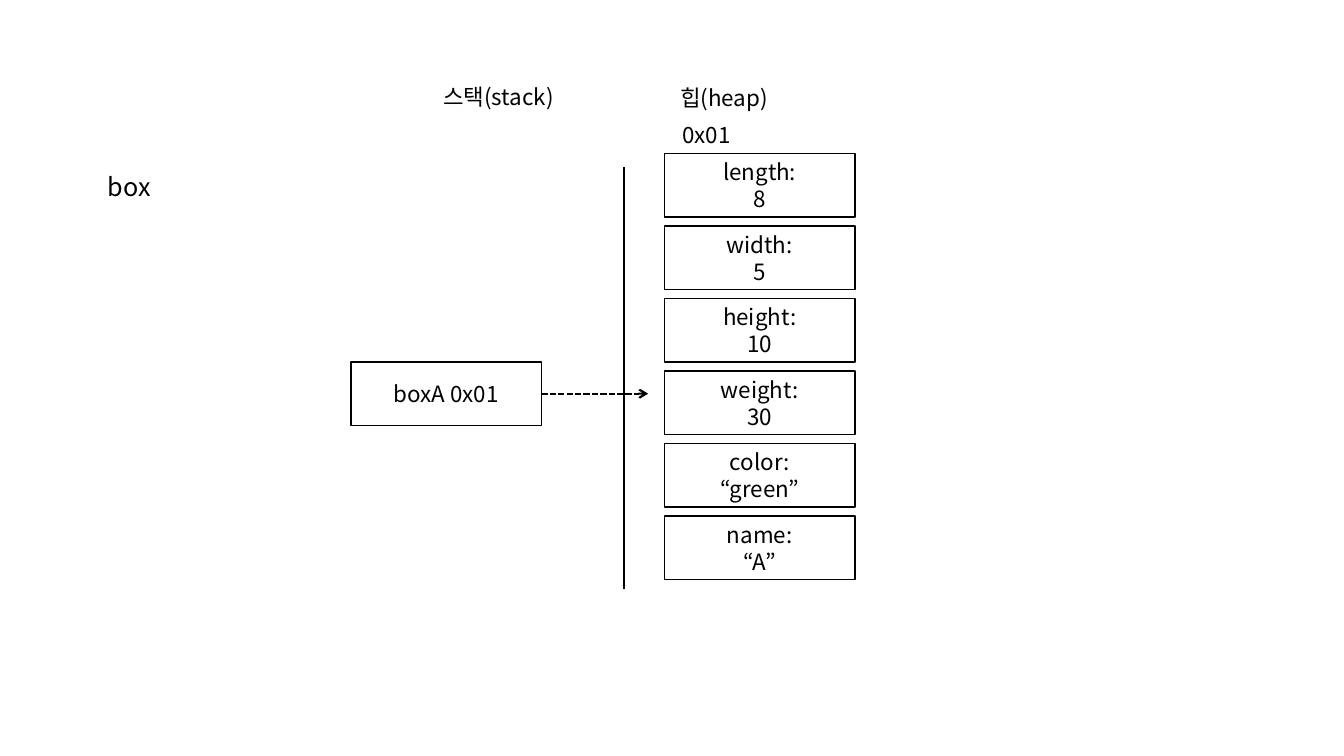
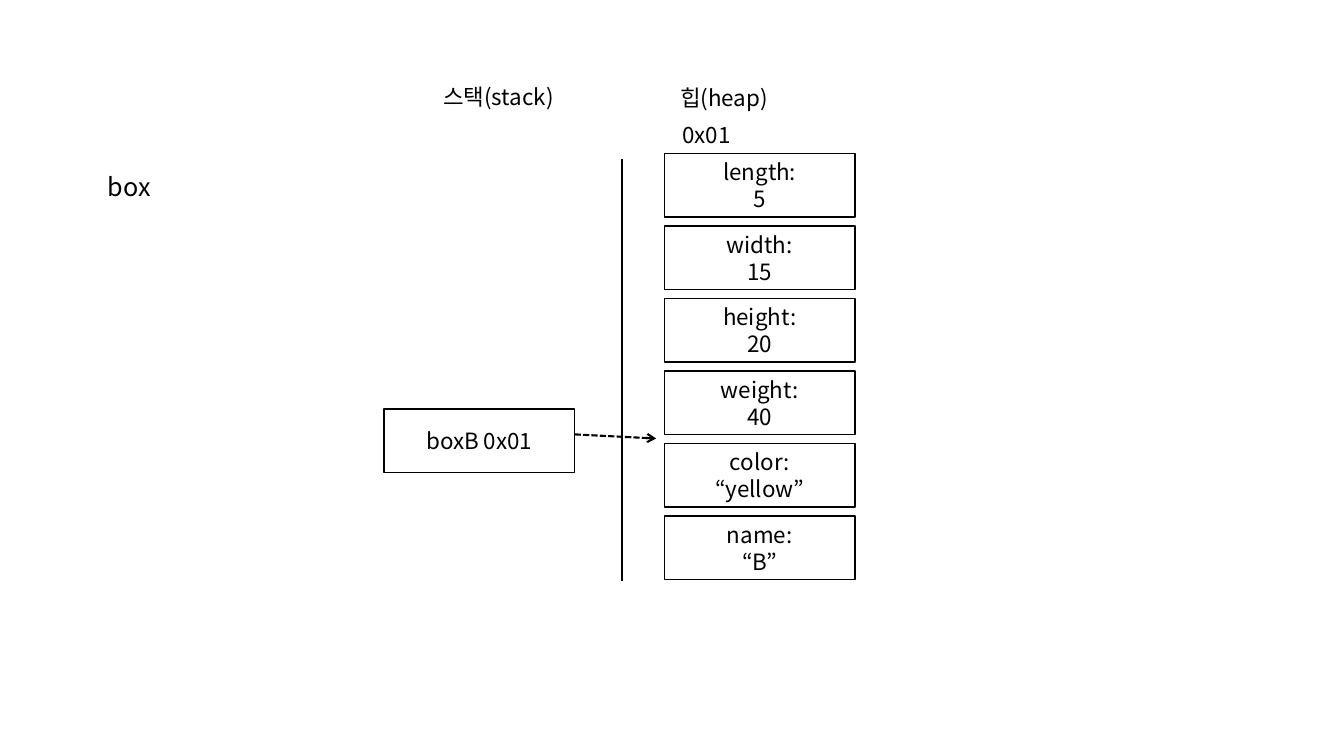
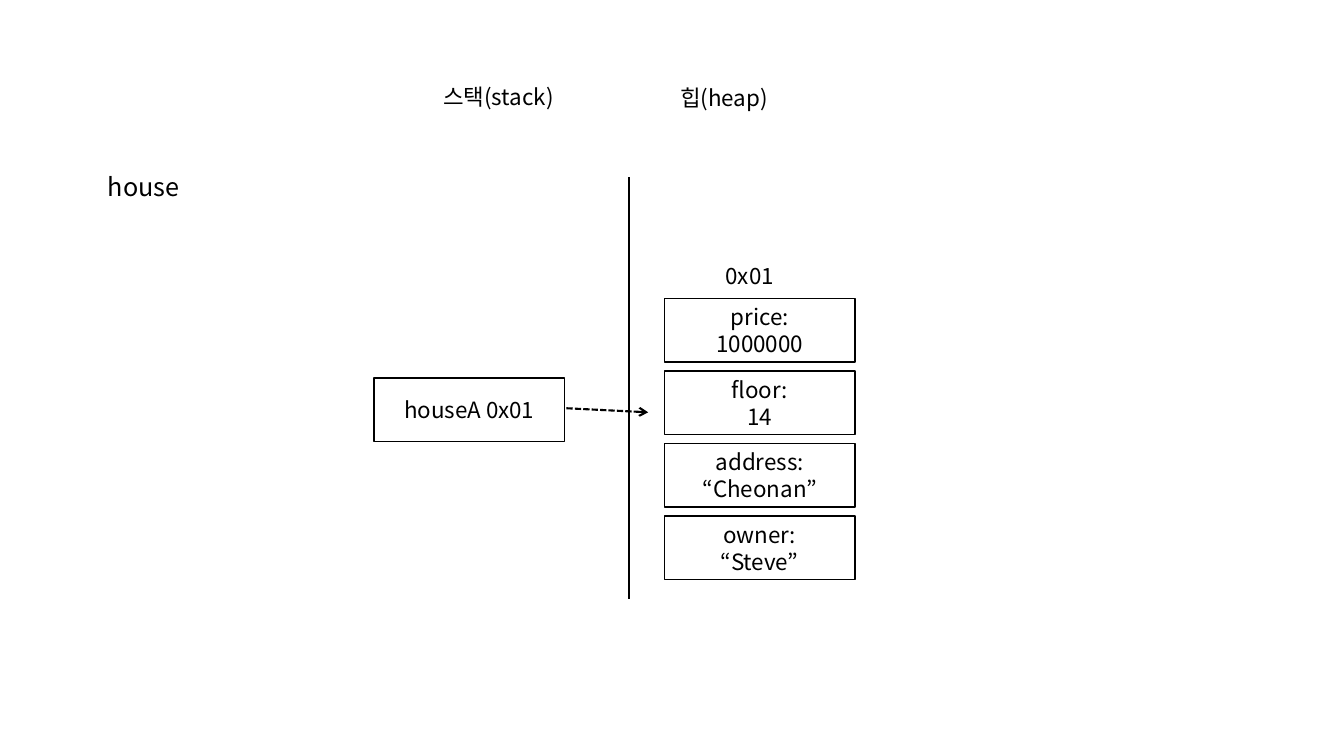
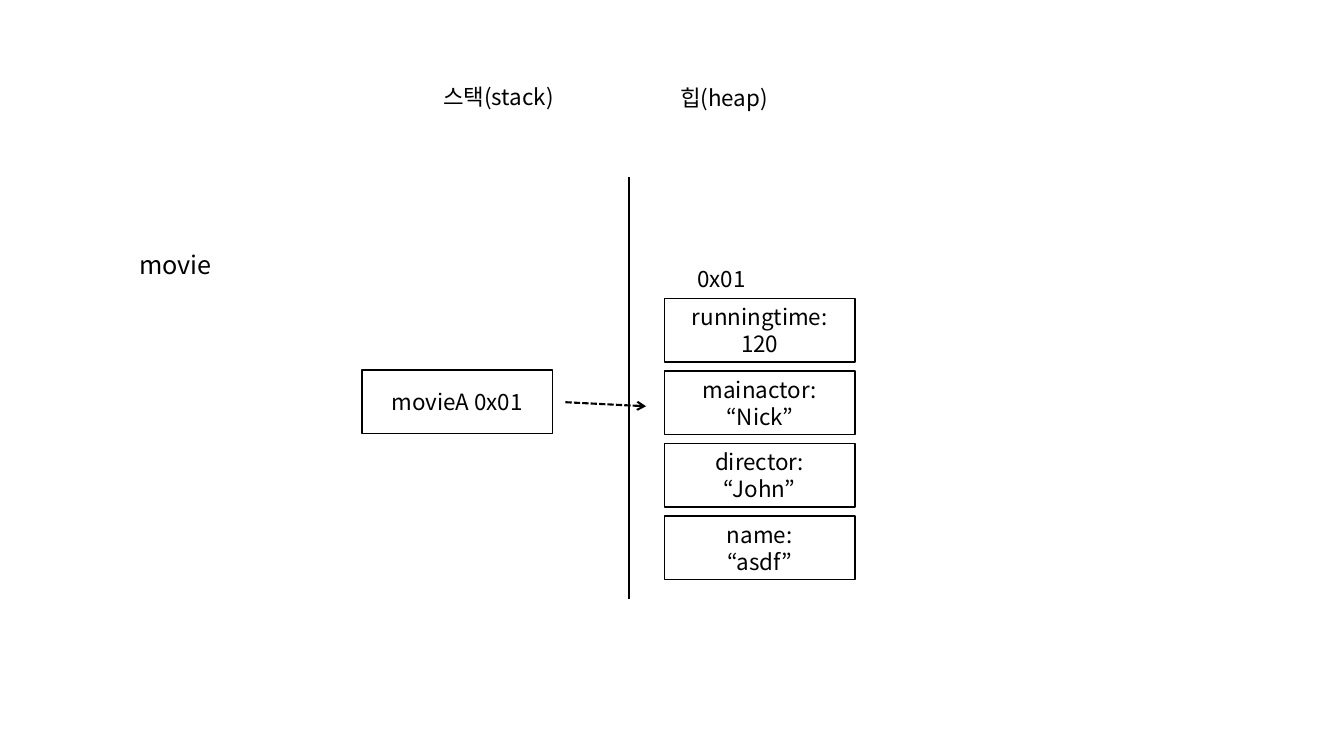
from pptx import Presentation
from pptx.dml.color import RGBColor
from pptx.enum.dml import MSO_LINE as Dash
from pptx.enum.shapes import MSO_CONNECTOR as Link, MSO_SHAPE as Kind
from pptx.enum.text import MSO_ANCHOR as Anchor, MSO_AUTO_SIZE as Fit, PP_ALIGN as Align
from pptx.oxml.ns import qn
from pptx.util import Pt
from lxml.etree import SubElement

FONT = "Noto Sans CJK KR"
INK, PAPER = "000000", "FFFFFF"
CELL = 136.1, 45.4
LEFT, LAST, PITCH = 474.6, 368.6, 51.8
WALL = 301
LABEL = 153.4, 26.6
NAME = 104.4, 28.8
HEADS = [("스택(stack)", (309.6, 56.2)), ("힙(heap)", (478.8, 56.9))]

SLIDES = [
    dict(name="box", spot=(69.8, 118.8), wall=(445.7, 119.5), addr=(480.2, 82.8),
         ref="boxA 0x01", at=(250.6, 258.5), start=None, end=(463, 281.2),
         rows=[("length", "8"), ("width", "5"), ("height", "10"),
               ("weight", "30"), ("color", "“green”"), ("name", "“A”")]),
    dict(name="box", spot=(69.8, 118.8), wall=(444.2, 113.8), addr=(480.2, 82.8),
         ref="boxB 0x01", at=(274.3, 292.3), start=(410.4, 310.3), end=(468.7, 313.2),
         rows=[("length", "5"), ("width", "15"), ("height", "20"),
               ("weight", "40"), ("color", "“yellow”"), ("name", "“B”")]),
    dict(name="house", spot=(69.8, 118.8), wall=(449.3, 126.7), addr=(511.2, 183.6),
         ref="houseA 0x01", at=(267.1, 270), start=(404.6, 291.6), end=(463, 294.5),
         rows=[("price", "1000000"), ("floor", "14"),
               ("address", "“Cheonan”"), ("owner", "“Steve”")]),
    dict(name="movie", spot=(92.2, 174.2), wall=(449.3, 126.7), addr=(491, 185.8),
         ref="movieA 0x01", at=(258.5, 264.2), start=(403.9, 287.3), end=(461.5, 290.2),
         rows=[("runningtime", "120"), ("mainactor", "“Nick”"),
               ("director", "“John”"), ("name", "“asdf”")]),
]


def color(code):
    return RGBColor.from_string(code)


def write(shape, text, size=16, align=Align.LEFT):
    frame = shape.text_frame
    frame.text = text
    frame.word_wrap = True
    for para in frame.paragraphs:
        para.alignment = align
        font = para.font
        font.name, font.size = FONT, Pt(size)
        font.color.rgb = color(INK)
        SubElement(font._element, qn("a:ea"), typeface=FONT)


def label(slide, text, spot):
    box = slide.shapes.add_textbox(*map(Pt, spot + LABEL))
    write(box, text)
    box.text_frame.auto_size = Fit.SHAPE_TO_FIT_TEXT


def cell(slide, text, spot):
    box = slide.shapes.add_shape(Kind.RECTANGLE, *map(Pt, spot + CELL))
    box.shadow.inherit = False
    box.fill.solid()
    box.fill.fore_color.rgb = color(PAPER)
    box.line.color.rgb = color(INK)
    box.line.width = Pt(1)
    write(box, text, align=Align.CENTER)
    box.text_frame.vertical_anchor = Anchor.MIDDLE
    return box


def line(slide, start, end, width):
    link = slide.shapes.add_connector(Link.STRAIGHT, *map(Pt, start + end))
    link.line.color.rgb = color(INK)
    link.line.width = Pt(width)
    SubElement(link._element.spPr, qn("a:effectLst"))
    return link


def title(slide, text, spot):
    head = slide.shapes.title
    head.left, head.top, head.width, head.height = map(Pt, spot + NAME)
    write(head, text, 18)
    head.text_frame.vertical_anchor = Anchor.TOP
    head.text_frame.auto_size = Fit.SHAPE_TO_FIT_TEXT


def arrow(slide, box, start, end):
    link = line(slide, start or end, end, 1.5)
    if start is None:
        link.begin_connect(box, 3)
    link.line.dash_style = Dash.SQUARE_DOT
    SubElement(link.line._get_or_add_ln(), qn("a:tailEnd"), type="arrow")


def build(deck, name, spot, wall, addr, ref, at, start, end, rows):
    slide = deck.slides.add_slide(deck.slide_layouts[5])
    title(slide, name, spot)
    x, y = wall
    line(slide, wall, (x, y + WALL), 1.25)
    for text, place in HEADS + [("0x01", addr)]:
        label(slide, text, place)
    first = LAST - PITCH * (len(rows) - 1)
    for i, (key, value) in enumerate(rows):
        cell(slide, f"{key}:\n{value}", (LEFT, first + i * PITCH))
    arrow(slide, cell(slide, ref, at), start, end)


def main():
    deck = Presentation()
    deck.slide_width, deck.slide_height = Pt(960), Pt(540)
    for data in SLIDES:
        build(deck, **data)
    deck.save("out.pptx")


if __name__ == "__main__":
    main()
